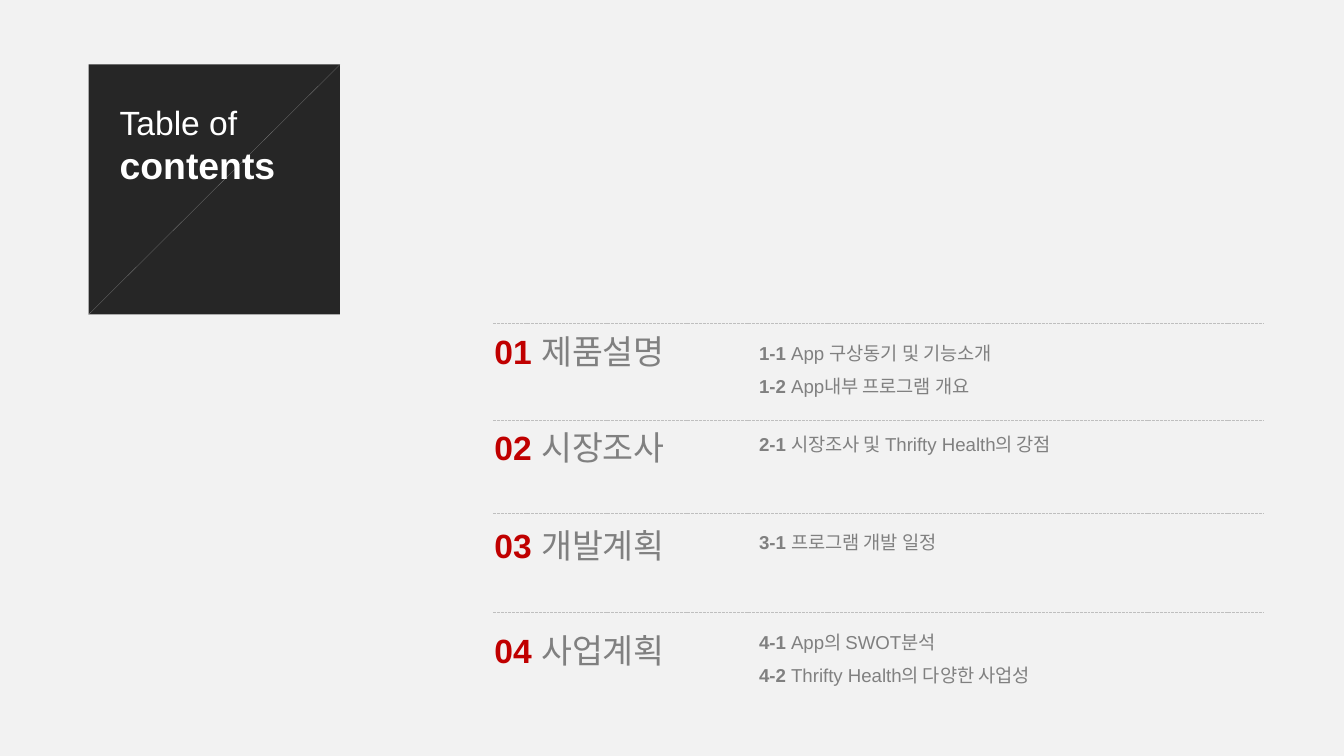
from dataclasses import dataclass

from lxml.etree import SubElement
from pptx import Presentation
from pptx.dml.color import RGBColor
from pptx.enum.dml import MSO_LINE_DASH_STYLE as Dash
from pptx.enum.shapes import MSO_CONNECTOR as Connector, MSO_SHAPE as Shape
from pptx.enum.text import MSO_ANCHOR as Anchor, MSO_AUTO_SIZE as AutoSize, PP_ALIGN as Align
from pptx.oxml.ns import qn
from pptx.util import Inches, Pt


@dataclass(frozen=True)
class Theme:
    font: str = "Arial"
    paper: str = "F2F2F2"
    panel: str = "262626"
    title: str = "FFFFFF"
    number: str = "C00000"
    body: str = "808080"
    rule: str = "BFBFBF"
    heading_size: int = 18
    emphasis_size: int = 20
    topic_size: int = 10


THEME = Theme()
SLIDE_WIDTH = Inches(10)
SLIDE_HEIGHT = SLIDE_WIDTH * 9 // 16
CELL = SLIDE_WIDTH / 100  # the grid has 100 columns of square cells

PANEL = (6.6, 4.8, 18.7, 18.6)
TITLE = (7.9, 7.1, 16, 9.4)
RULE_LEFT, RULE_RIGHT = 36.7, 94
HEADING_LEFT, HEADING_WIDTH, HEADING_HEIGHT = 35.8, 15.5, 4
TOPIC_LEFT, TOPIC_HEIGHT = 55.5, 6

# Rows of the rule, heading and topics; heading; width of topics; topics
SECTIONS = [
    (24.1, 24.1, 24.1, "제품설명", 30.2, ["App 구상동기 및 기능소개", "App내부 프로그램 개요"]),
    (31.3, 31.3, 30.9, "시장조사", 26.1, ["시장조사 및 Thrifty Health의 강점"]),
    (38.2, 38.6, 38.2, "개발계획", 16.3, ["프로그램 개발 일정"]),
    (45.6, 46.4, 45.6, "사업계획", 24.3, ["App의 SWOT분석", "Thrifty Health의 다양한 사업성"]),
]


def cells(*counts):
    return [round(count * CELL) for count in counts]


def rgb(color):
    return RGBColor.from_string(color)


def style_run(run, size, color, bold=False):
    run.font.name = THEME.font
    run.font.size = Pt(size)
    run.font.bold = bold
    run.font.color.rgb = rgb(color)


def add_line(slide, start, end, color, width, dash=None):
    line = slide.shapes.add_connector(Connector.STRAIGHT, *cells(*start, *end))
    line.line.color.rgb = rgb(color)
    line.line.width = Pt(width)
    if dash:
        line.line.dash_style = dash
    SubElement(line.element.spPr, qn("a:effectLst"))
    return line


def add_numbered_text(slide, area, entries, size, number_color, spacing=1.0):
    """Write one paragraph per (number, label), with the number in bold."""
    frame = slide.shapes.add_textbox(*cells(*area)).text_frame
    frame.word_wrap = False
    frame.auto_size = AutoSize.NONE
    for index, (number, label) in enumerate(entries):
        paragraph = frame.add_paragraph() if index else frame.paragraphs[0]
        paragraph.text = f"{number} "
        paragraph.line_spacing = spacing
        style_run(paragraph.runs[0], size, number_color, bold=True)
        label_run = paragraph.add_run()
        label_run.text = label
        style_run(label_run, size, THEME.body)


def add_title_panel(slide):
    title = slide.shapes.title
    left, top, width, height = PANEL
    panel = slide.shapes.add_shape(Shape.RECTANGLE, *cells(*PANEL))
    panel.shadow.inherit = False
    panel.fill.solid()
    panel.fill.fore_color.rgb = rgb(THEME.panel)
    panel.line.fill.background()
    diagonal = add_line(slide, (left, top + height), (left + width, top), THEME.body, 0.1)
    for backdrop in (panel, diagonal):
        title.element.addprevious(backdrop.element)

    title.left, title.top, title.width, title.height = cells(*TITLE)
    frame = title.text_frame
    frame.text = "Table of \vcontents"
    frame.word_wrap = True
    frame.auto_size = AutoSize.NONE
    frame.vertical_anchor = Anchor.TOP
    paragraph = frame.paragraphs[0]
    paragraph.alignment = Align.LEFT
    opening, emphasis = paragraph.runs
    style_run(opening, THEME.heading_size, THEME.title)
    style_run(emphasis, THEME.emphasis_size, THEME.title, bold=True)
    # The line break would otherwise keep the layout's large title size
    line_break = title.element.find(".//" + qn("a:br"))
    SubElement(line_break, qn("a:rPr"), sz=str(THEME.heading_size * 100))


def add_section(slide, number, section):
    rule_row, heading_row, topic_row, heading, topic_width, topics = section
    add_numbered_text(slide, (HEADING_LEFT, heading_row, HEADING_WIDTH, HEADING_HEIGHT),
                      [(f"{number:02}", heading)], THEME.heading_size, THEME.number)
    entries = [(f"{number}-{index}", topic) for index, topic in enumerate(topics, 1)]
    add_numbered_text(slide, (TOPIC_LEFT, topic_row, topic_width, TOPIC_HEIGHT),
                      entries, THEME.topic_size, THEME.body, spacing=1.5)
    add_line(slide, (RULE_LEFT, rule_row), (RULE_RIGHT, rule_row),
             THEME.rule, 0.5, Dash.SQUARE_DOT)


def main():
    deck = Presentation()
    deck.slide_width, deck.slide_height = SLIDE_WIDTH, SLIDE_HEIGHT
    slide = deck.slides.add_slide(deck.slide_layouts.get_by_name("Title Only"))
    slide.background.fill.solid()
    slide.background.fill.fore_color.rgb = rgb(THEME.paper)
    add_title_panel(slide)
    for number, section in enumerate(SECTIONS, 1):
        add_section(slide, number, section)
    deck.save("out.pptx")


if __name__ == "__main__":
    main()
